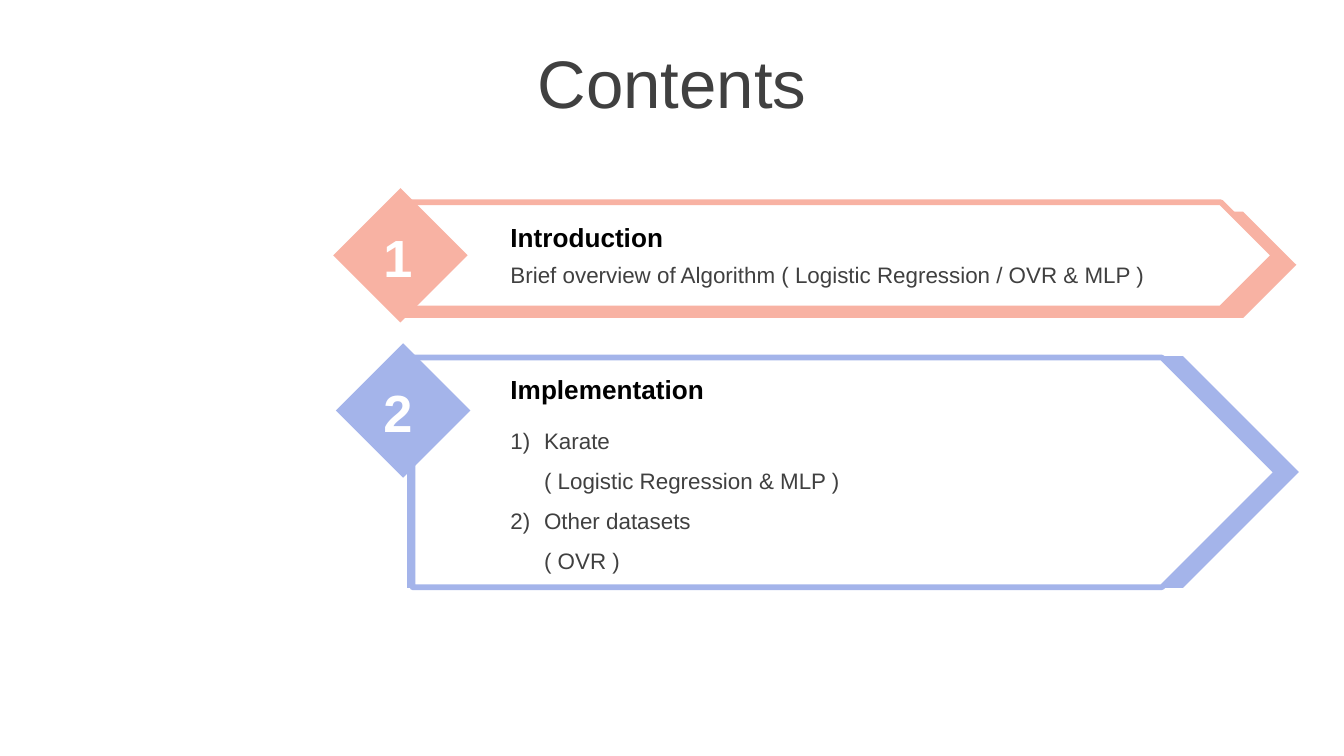
"""Build a contents slide with two numbered arrow banners."""
from dataclasses import dataclass

from lxml import etree
from pptx import Presentation
from pptx.dml.color import RGBColor
from pptx.enum.shapes import MSO_SHAPE
from pptx.enum.text import MSO_ANCHOR, PP_ALIGN
from pptx.oxml.ns import qn
from pptx.util import Emu, Pt

PX = 4572
FONT = "Arial"
PENTAGON, DIAMOND = MSO_SHAPE.PENTAGON, MSO_SHAPE.DIAMOND
TOP, MIDDLE = MSO_ANCHOR.TOP, MSO_ANCHOR.MIDDLE
LEFT, CENTER = PP_ALIGN.LEFT, PP_ALIGN.CENTER
WHITE = RGBColor(0xFF, 0xFF, 0xFF)
BLACK = RGBColor(0x00, 0x00, 0x00)
GRAY = RGBColor(0x40, 0x40, 0x40)
CORAL = RGBColor(0xF8, 0xB2, 0xA3)
PERIWINKLE = RGBColor(0xA4, 0xB4, 0xEA)


@dataclass(frozen=True)
class Box:
    left: int
    top: int
    width: int
    height: int

    def emu(self) -> list[Emu]:
        return [Emu(v * PX) for v in (self.left, self.top, self.width, self.height)]


@dataclass(frozen=True)
class Style:
    size: int
    color: RGBColor
    bold: bool = False
    align: PP_ALIGN = LEFT
    anchor: MSO_ANCHOR = TOP
    numbered: bool = False


@dataclass(frozen=True)
class Section:
    number: str
    color: RGBColor
    back: Box
    front: Box
    badge: Box
    number_top: int
    heading: str
    heading_top: int
    details: list[str]
    details_height: int
    details_style: Style


TITLE = Style(36, GRAY, align=CENTER, anchor=MIDDLE)
NUMBER = Style(28, WHITE, bold=True, align=CENTER, anchor=MIDDLE)
HEADING = Style(14, BLACK, bold=True)
BODY = Style(12, GRAY)
NUMBERED_BODY = Style(12, GRAY, numbered=True)

SECTIONS = [
    Section("1 ", CORAL, Box(602, 315, 1327, 158), Box(602, 301, 1294, 158),
            Box(496, 280, 200, 200), 325, "Introduction", 320,
            ["Brief overview of Algorithm ( Logistic Regression / OVR & MLP )"],
            60, BODY),
    Section("2 ", PERIWINKLE, Box(606, 530, 1327, 345), Box(614, 532, 1286, 342),
            Box(500, 511, 200, 200), 556, "Implementation", 546,
            ["Karate \v( Logistic Regression & MLP )", "Other datasets\v( OVR )"],
            262, NUMBERED_BODY),
]


def add_text(page, box: Box, lines: list[str], style: Style) -> None:
    frame = page.shapes.add_textbox(*box.emu()).text_frame
    frame.word_wrap = True
    frame.vertical_anchor = style.anchor
    frame.text = "\n".join(lines)
    for para in frame.paragraphs:
        para.alignment = style.align
        para.font.name = FONT
        para.font.size = Pt(style.size)
        para.font.bold = style.bold
        para.font.color.rgb = style.color
        if style.numbered:
            para.line_spacing = 1.5
            number_paragraph(para)


def number_paragraph(para) -> None:
    properties = para._p.get_or_add_pPr()
    properties.set("marL", str(50 * PX))
    properties.set("indent", str(-50 * PX))
    bullet = etree.Element(qn("a:buAutoNum"), type="arabicParenR")
    properties.find(qn("a:defRPr")).addprevious(bullet)


def add_block(page, kind: MSO_SHAPE, box: Box, fill: RGBColor,
              line: RGBColor | None = None) -> None:
    shape = page.shapes.add_shape(kind, *box.emu())
    shape.shadow.inherit = False
    shape.fill.solid()
    shape.fill.fore_color.rgb = fill
    if line is None:
        shape.line.fill.background()
    else:
        shape.line.color.rgb = line
        shape.line.width = Pt(3)


def add_section(page, section: Section) -> None:
    add_block(page, PENTAGON, section.back, section.color)
    add_block(page, PENTAGON, section.front, WHITE, section.color)
    add_block(page, DIAMOND, section.badge, section.color)
    add_text(page, Box(548, section.number_top, 88, 114), [section.number], NUMBER)
    add_text(page, Box(740, section.heading_top, 1040, 68), [section.heading], HEADING)
    add_text(page, Box(740, section.heading_top + 59, 1040, section.details_height),
             section.details, section.details_style)


def main() -> None:
    deck = Presentation()
    deck.slide_width, deck.slide_height = Emu(2000 * PX), Emu(1125 * PX)
    page = deck.slides.add_slide(deck.slide_layouts[6])
    add_text(page, Box(0, 58, 2000, 126), ["Contents"], TITLE)
    for section in SECTIONS:
        add_section(page, section)
    deck.save("out.pptx")


if __name__ == "__main__":
    main()
